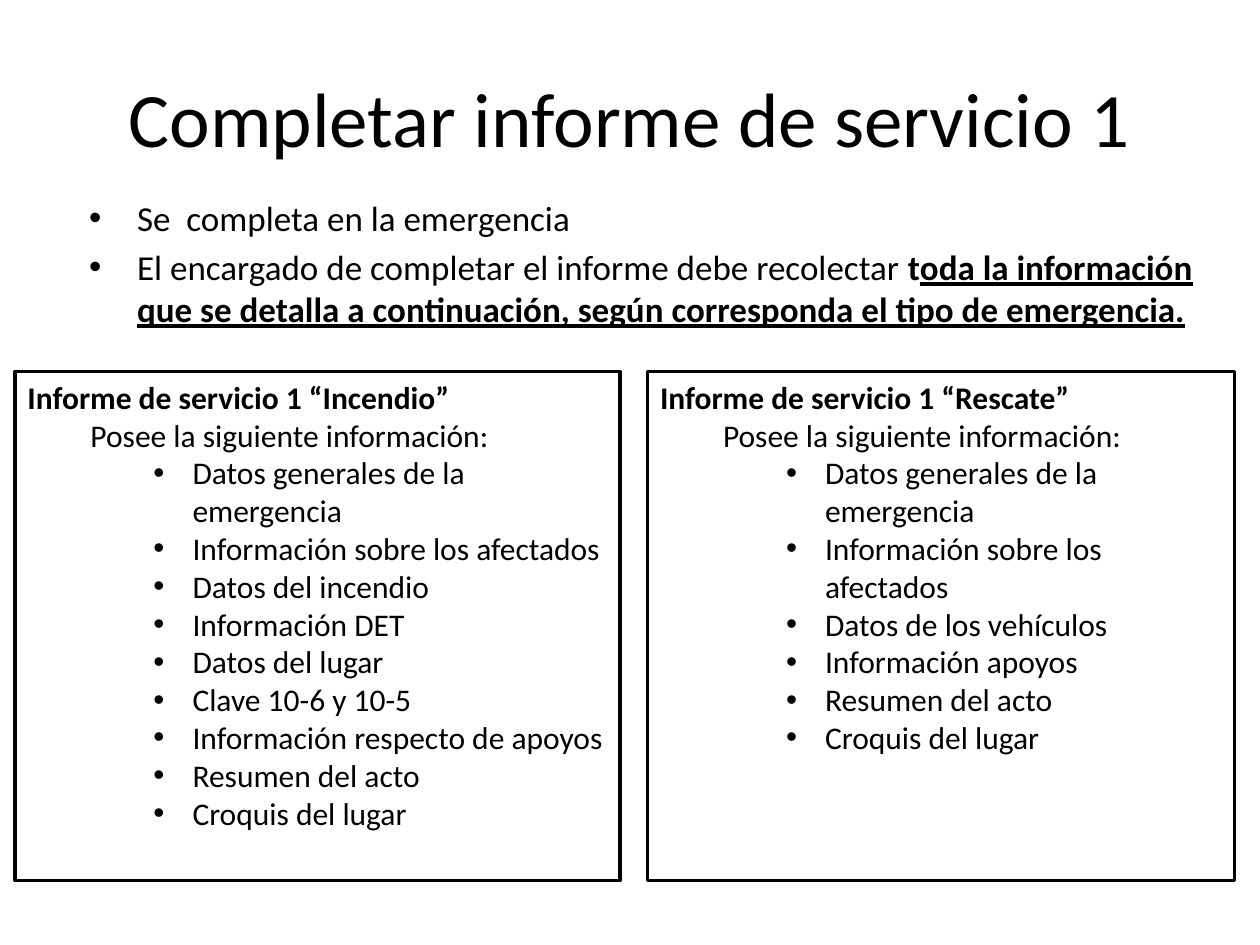
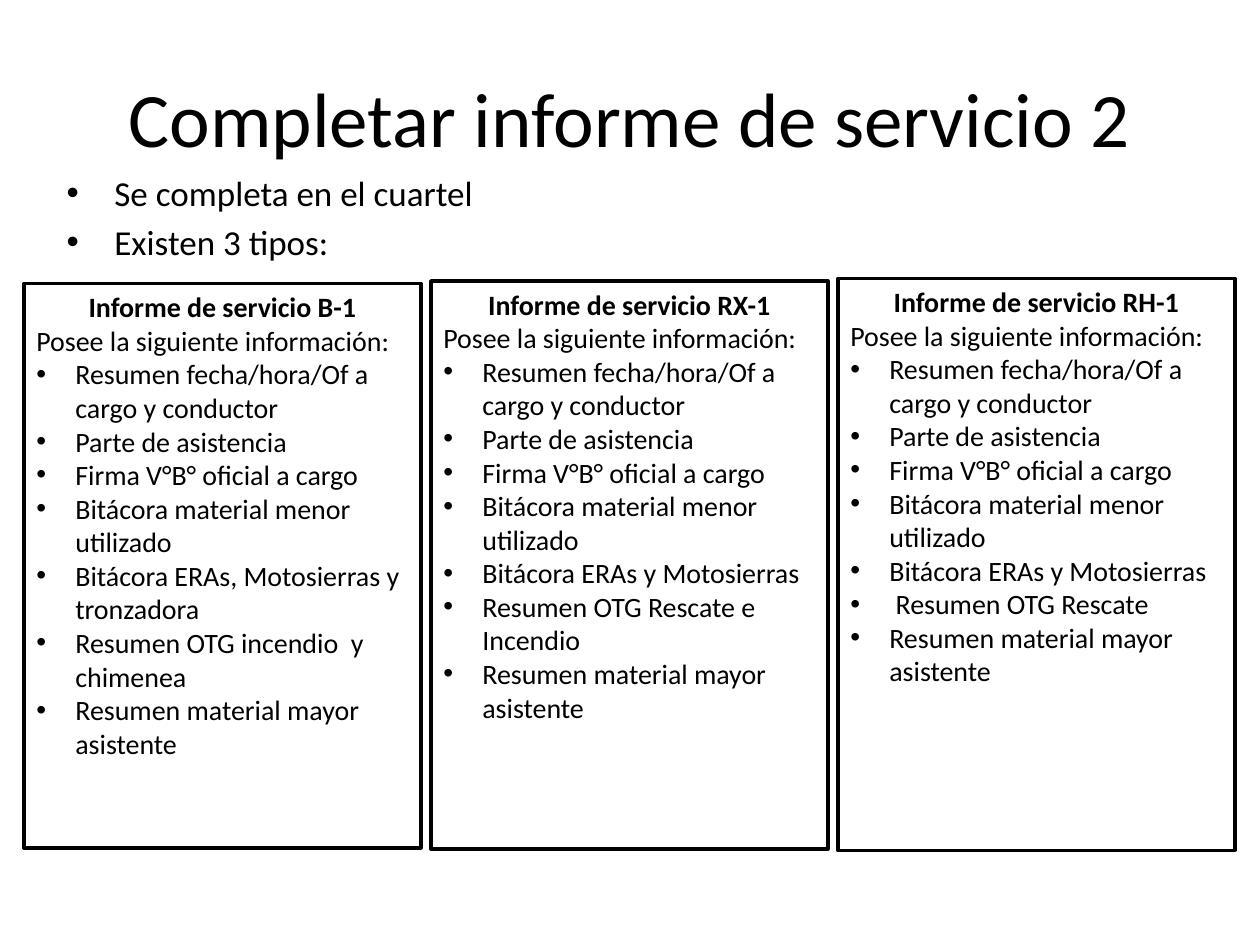
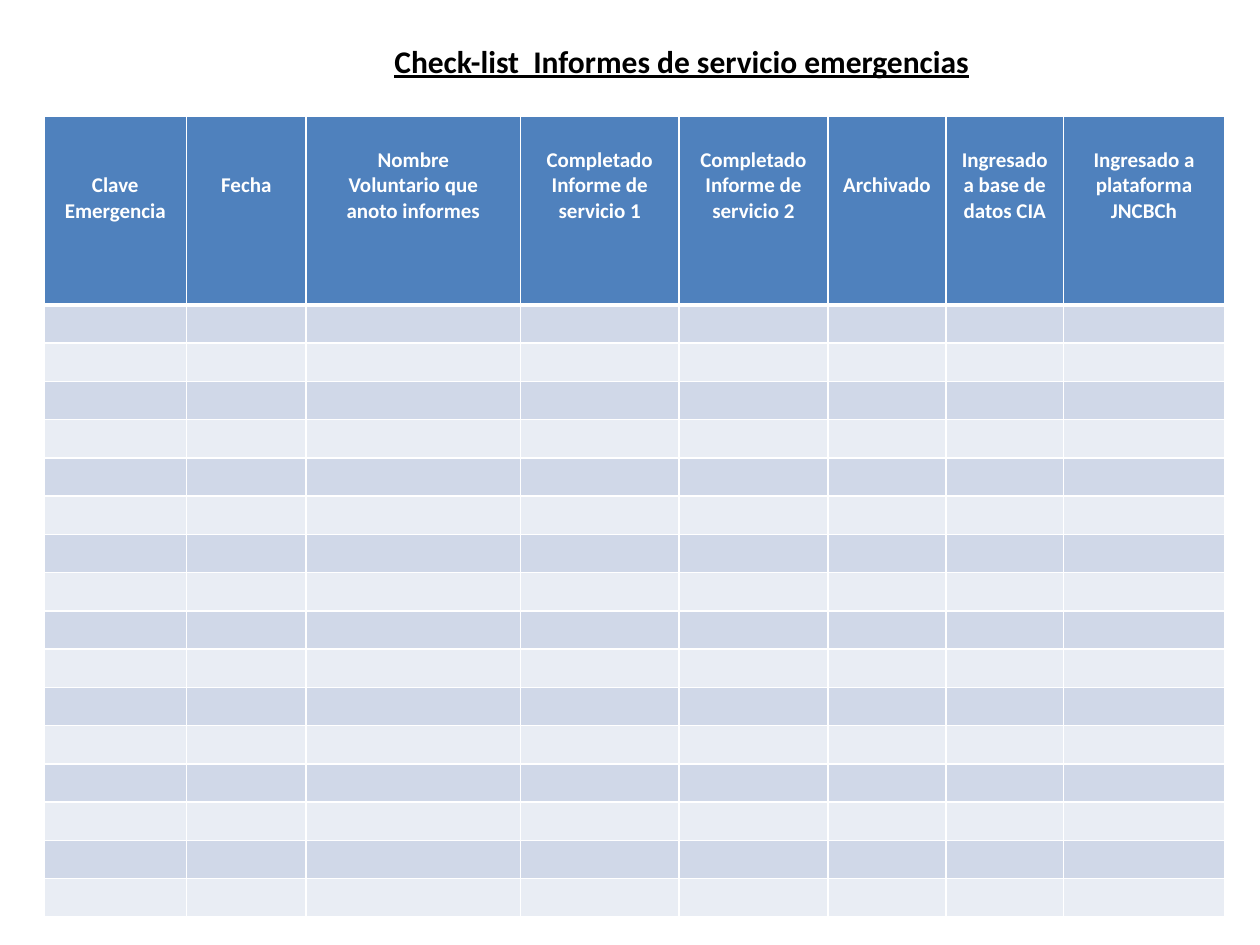
from lxml.etree import SubElement
from pptx import Presentation
from pptx.dml.color import RGBColor
from pptx.enum.shapes import MSO_SHAPE
from pptx.enum.text import MSO_ANCHOR, MSO_AUTO_SIZE, PP_ALIGN
from pptx.oxml.ns import qn
from pptx.util import Inches, Pt

FONT = "Calibri"
BLACK, WHITE = "000000", "FFFFFF"
HEADER_BLUE, BAND_DARK, BAND_LIGHT = "4F81BD", "D0D8E8", "E9EDF4"
WIDTH, HEIGHT = Inches(10), Inches(7.5)
TITLE_AREA = (5, 4, 90, 16.67)  # percent of the slide, as all areas are
TITLE_ONLY = 5

INTRO = "Posee la siguiente información:"
FIRE_ITEMS = [
    "Datos generales de la emergencia", "Información sobre los afectados",
    "Datos del incendio", "Información DET", "Datos del lugar",
    "Clave 10-6 y 10-5", "Información respecto de apoyos",
    "Resumen del acto", "Croquis del lugar",
]
RESCUE_ITEMS = [
    "Datos generales de la emergencia", "Información sobre los afectados",
    "Datos de los vehículos", "Información apoyos", "Resumen del acto",
    "Croquis del lugar",
]
COMMON_ITEMS = [
    "Resumen fecha/hora/Of a cargo y conductor", "Parte de asistencia",
    "Firma V°B° oficial a cargo", "Bitácora material menor utilizado",
]
LAST_ITEM = "Resumen material mayor asistente"
UNIT_ITEMS = {
    "B-1": ["Bitácora ERAs, Motosierras y tronzadora",
            "Resumen OTG incendio  y chimenea"],
    "RX-1": ["Bitácora ERAs y Motosierras", "Resumen OTG Rescate e Incendio"],
    "RH-1": ["Bitácora ERAs y Motosierras", " Resumen OTG Rescate"],
}
# Column width in inches, text lines skipped above, heading lines
CHECKLIST_COLUMNS = [
    (1.13, 2, ["Clave", "Emergencia"]),
    (0.95, 2, ["Fecha"]),
    (1.7, 1, ["Nombre", "Voluntario que", "anoto informes"]),
    (1.26, 1, ["Completado", "Informe de servicio 1"]),
    (1.18, 1, ["Completado", "Informe de servicio 2"]),
    (0.94, 2, ["Archivado"]),
    (0.93, 1, ["Ingresado a base de datos CIA"]),
    (1.28, 1, ["Ingresado a plataforma JNCBCh"]),
]
EMPTY_ROWS = 16


def color(code):
    return RGBColor.from_string(code)


def place(area):
    """Turn percentages of the slide into left, top, width and height."""
    return [int(share * side / 100)
            for share, side in zip(area, (WIDTH, HEIGHT) * 2)]


def add_span(para, text, size=18, ink=BLACK, bold=False, underline=False):
    span = para.add_run()
    span.text = text
    font = span.font
    font.name, font.size = FONT, Pt(size)
    font.bold, font.underline = bold, underline
    font.color.rgb = color(ink)


def add_para(frame, text, align=PP_ALIGN.LEFT, indent=0, hanging=0,
             before=0, **style):
    """Add a paragraph; a hanging indent gives it a bullet."""
    first = frame.paragraphs[0]
    para = frame.add_paragraph() if first.runs else first
    para.alignment, para.space_before = align, Pt(before)
    props = para._p.get_or_add_pPr()
    props.set("marL", str(Inches(indent)))
    props.set("indent", str(-Inches(hanging)))
    if hanging:
        SubElement(props, qn("a:buFont"), typeface="Arial")
        SubElement(props, qn("a:buChar"), char="•")
    add_span(para, text, **style)
    return para


def add_page(deck, title, area=TITLE_AREA, align=PP_ALIGN.CENTER,
             anchor=MSO_ANCHOR.MIDDLE, wrap=True, size=44, **style):
    page = deck.slides.add_slide(deck.slide_layouts[TITLE_ONLY])
    box = page.shapes.title
    box.left, box.top, box.width, box.height = place(area)
    frame = box.text_frame
    frame.auto_size, frame.word_wrap = MSO_AUTO_SIZE.NONE, wrap
    frame.vertical_anchor = anchor
    add_para(frame, title, align=align, size=size, **style)
    return page


def add_bullets(page, area, items):
    """Add the bulleted introduction and return its last paragraph."""
    frame = page.shapes.add_textbox(*place(area)).text_frame
    frame.word_wrap = True
    for item in items:
        para = add_para(frame, item, indent=0.38, hanging=0.38, before=4,
                        size=20)
    return para


def add_report(page, area, heading, items, size, align=PP_ALIGN.LEFT,
               intro_indent=0, item_indent=0.31):
    """Add an outlined box listing what a report contains."""
    box = page.shapes.add_shape(MSO_SHAPE.RECTANGLE, *place(area))
    box.shadow.inherit = False
    box.fill.solid()
    box.fill.fore_color.rgb = color(WHITE)
    box.line.color.rgb = color(BLACK)
    box.line.width = Pt(2)
    frame = box.text_frame
    frame.word_wrap, frame.vertical_anchor = True, MSO_ANCHOR.TOP
    add_para(frame, heading, align=align, size=size, bold=True)
    add_para(frame, INTRO, indent=intro_indent, size=size)
    for item in items:
        add_para(frame, item, indent=item_indent, hanging=0.31, size=size)


def format_cell(cell, fill, top=1, bottom=1):
    """Give a cell white borders (in points) and a plain fill."""
    props = cell._tc.get_or_add_tcPr()
    for side, width in zip("LRTB", (1, 1, top, bottom)):
        line = SubElement(props, qn("a:ln" + side), w=str(Pt(width)))
        SubElement(SubElement(line, qn("a:solidFill")), qn("a:srgbClr"),
                   val=WHITE)
    cell.fill.solid()
    cell.fill.fore_color.rgb = color(fill)


def add_checklist(page, area):
    table = page.shapes.add_table(EMPTY_ROWS + 1, len(CHECKLIST_COLUMNS),
                                  *place(area)).table
    # Heading row
    table.rows[0].height = Inches(1.5)
    for index, (width, skipped, lines) in enumerate(CHECKLIST_COLUMNS):
        table.columns[index].width = Inches(width)
        cell = table.cell(0, index)
        format_cell(cell, HEADER_BLUE, bottom=3)
        cell.margin_top = Inches(0.05 + 0.2 * skipped)
        for line in lines:
            add_para(cell.text_frame, line, align=PP_ALIGN.CENTER, size=12,
                     ink=WHITE, bold=True)
    # Banded rows to fill in
    for row in range(1, EMPTY_ROWS + 1):
        table.rows[row].height = Inches(0.3)
        for cell in table.rows[row].cells:
            format_cell(cell, BAND_DARK if row % 2 else BAND_LIGHT,
                        top=3 if row == 1 else 1)
            para = cell.text_frame.paragraphs[0]
            SubElement(para._p, qn("a:endParaRPr"), sz="1200")


def build_first_report(deck):
    page = add_page(deck, "Completar informe de servicio 1")
    para = add_bullets(page, (6.1, 20.13, 90, 26.8), [
        "Se  completa en la emergencia",
        "El encargado de completar el informe debe recolectar "])
    add_span(para, "t", size=20, bold=True)
    add_span(para, "oda la información que se detalla a continuación, según "
             "corresponda el tipo de emergencia.", size=20, bold=True,
             underline=True)
    for left, width, kind, items in [(1.2, 48, "Incendio", FIRE_ITEMS),
                                     (51.4, 46.6, "Rescate", RESCUE_ITEMS)]:
        add_report(page, (left, 39.33, width, 53.87),
                   f"Informe de servicio 1 “{kind}”", items, size=18,
                   intro_indent=0.5, item_indent=1.31)


def build_second_report(deck):
    page = add_page(deck, "Completar informe de servicio 2")
    add_bullets(page, (4.3, 17.47, 90, 66),
                ["Se completa en el cuartel", "Existen 3 tipos:"])
    for index, (unit, items) in enumerate(UNIT_ITEMS.items()):
        area = (1.9 + 32.3 * index, 30 - 0.27 * index,
                31.5, 59.73 + 0.4 * index)
        add_report(page, area, f"Informe de servicio {unit}",
                   COMMON_ITEMS + items + [LAST_ITEM], size=16,
                   align=PP_ALIGN.CENTER)


def build_checklist(deck):
    page = add_page(deck, "Check-list  Informes de servicio emergencias",
                    area=(30.3, 3.73, 48, 5.33), align=PP_ALIGN.LEFT,
                    anchor=MSO_ANCHOR.TOP, size=18, bold=True, underline=True)
    add_checklist(page, (3.5, 12.27, 93.7, 84))


def main():
    deck = Presentation()
    deck.slide_width, deck.slide_height = WIDTH, HEIGHT
    build_first_report(deck)
    build_second_report(deck)
    build_checklist(deck)
    deck.save("out.pptx")


if __name__ == "__main__":
    main()
